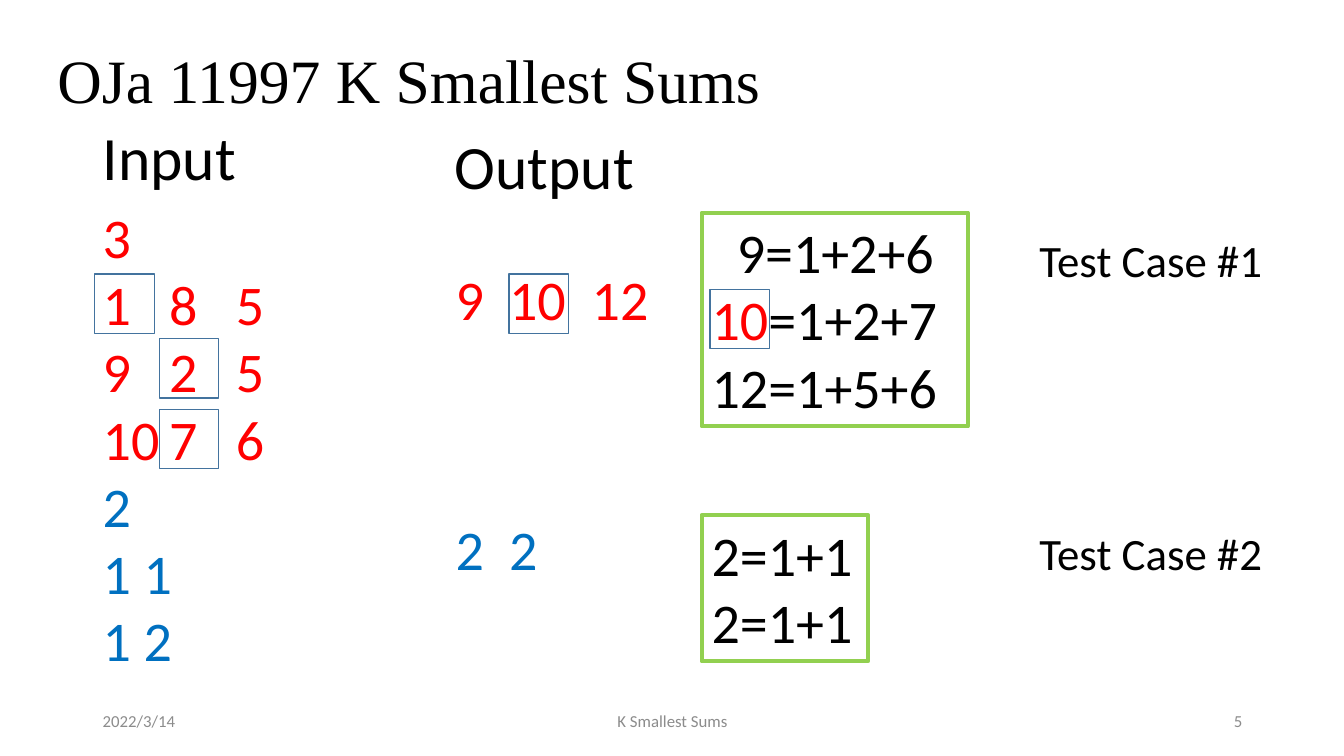
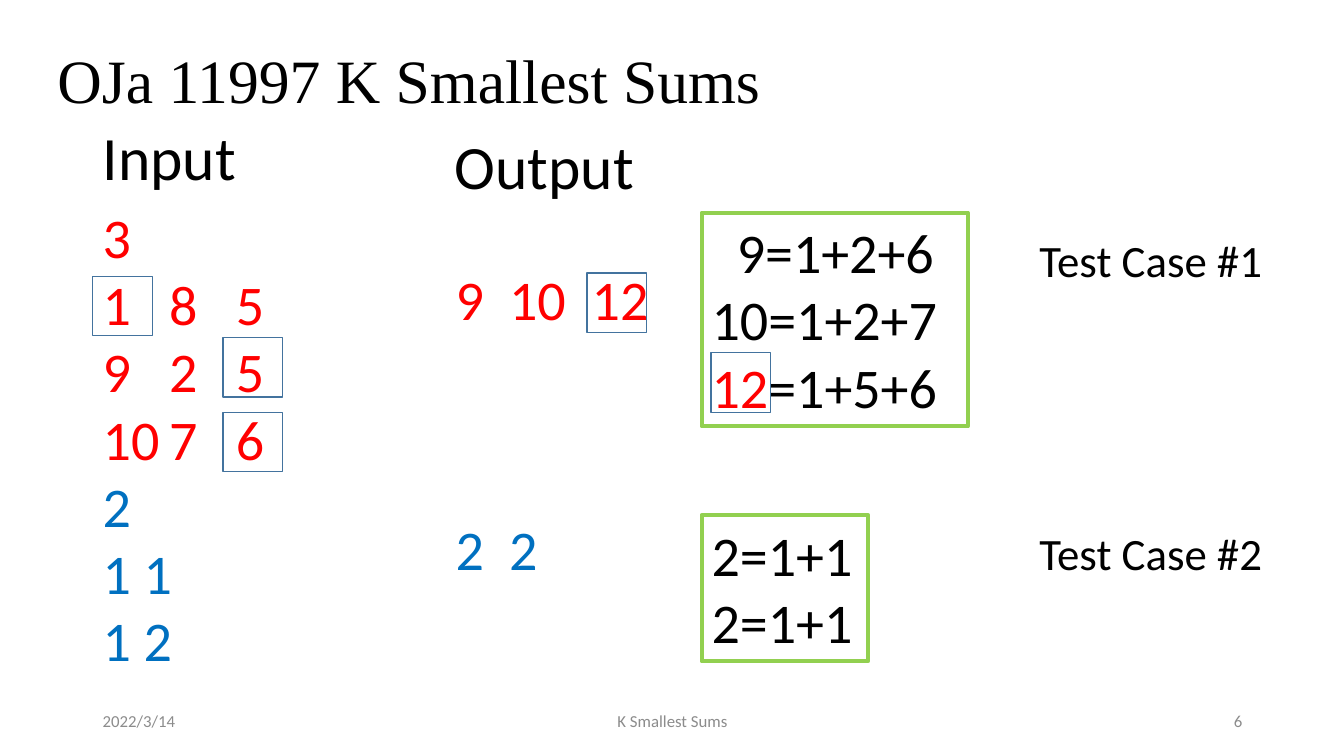
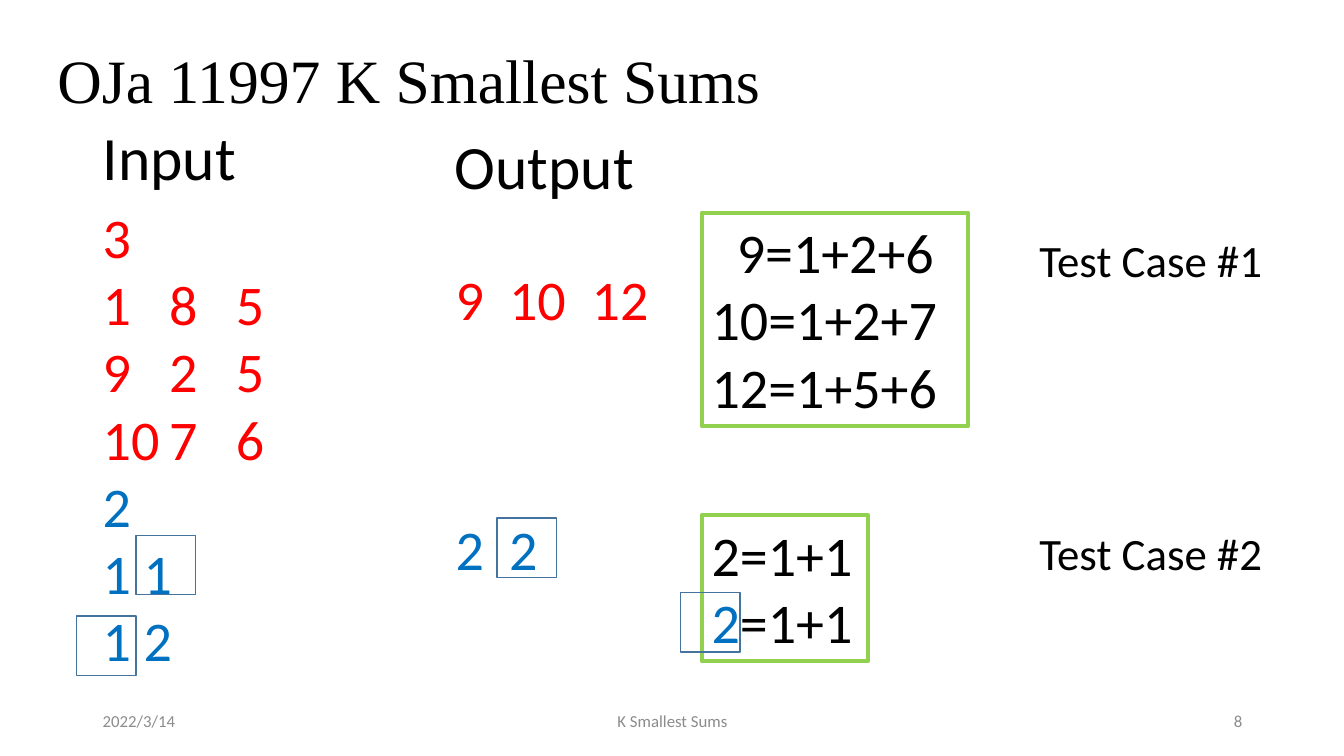
"""Builds three worked-example slides for the K Smallest Sums problem."""
from lxml.etree import SubElement
from pptx import Presentation
from pptx.dml.color import RGBColor
from pptx.enum.shapes import MSO_SHAPE
from pptx.enum.text import MSO_ANCHOR, MSO_AUTO_SIZE, PP_ALIGN
from pptx.oxml.ns import qn
from pptx.util import Inches, Pt

BLACK = RGBColor(0x00, 0x00, 0x00)
RED = RGBColor(0xFF, 0x00, 0x00)
BLUE = RGBColor(0x00, 0x70, 0xC0)
GREEN = RGBColor(0x92, 0xD0, 0x50)
STEEL = RGBColor(0x43, 0x73, 0x9E)
GREY = RGBColor(0x8C, 0x8C, 0x8C)
TITLE_FONT, BODY_FONT = "Times New Roman", "Calibri"
TITLE_ONLY = 5
MARK_SIZE = 0.59

INPUT_TABS = (0.66, 1.32)
OUTPUT_TABS = (0.53, 1.35)
INPUT_LINES = [
    ("3", RED), ("1\t8\t5", RED), ("9\t2\t5", RED), ("10\t7\t6", RED),
    ("2", BLUE), ("1 1", BLUE), ("1 2", BLUE),
]
SUMS_1 = [("9", "=1+2+6"), ("10", "=1+2+7"), ("12", "=1+5+6")]
SUMS_2 = [("2", "=1+1"), ("2", "=1+1")]

STEPS = [
    (5, 1, None, [(1.58, 4.06), (1.58, 3.36), (0.94, 2.72), (7.04, 2.87), (5.05, 2.72)]),
    (6, 2, None, [(5.82, 2.71), (0.92, 2.74), (2.21, 3.35), (2.21, 4.09), (7.05, 3.5)]),
    (8, None, 1, [(6.75, 5.88), (0.76, 6.11), (1.35, 5.31), (4.93, 5.14)]),
]


def style(p, size, color, font=BODY_FONT, align=PP_ALIGN.LEFT):
    """Format a whole paragraph."""
    p.alignment = align
    p.font.name, p.font.size = font, Pt(size)
    p.font.color.rgb = color


def set_tabs(p, stops):
    """Give a paragraph left tab stops, in inches."""
    tabs = SubElement(p._p.get_or_add_pPr(), qn("a:tabLst"))
    for stop in stops:
        SubElement(tabs, qn("a:tab"), pos=str(Inches(stop)), algn="l")


def add_title(slide, text):
    """Place and format the title placeholder."""
    sp = slide.shapes.title
    sp.left, sp.top, sp.width, sp.height = map(Inches, (0.47, 0.1, 11.5, 1.45))
    tf = sp.text_frame
    tf.vertical_anchor = MSO_ANCHOR.MIDDLE
    p = tf.paragraphs[0]
    p.text = text
    p.line_spacing = 0.9
    style(p, 44, BLACK, TITLE_FONT)


def add_text(slide, at, lines, size, tabs=(), align=PP_ALIGN.LEFT, anchor=MSO_ANCHOR.TOP):
    """Add a text box with one paragraph per (text, colour) line."""
    tf = slide.shapes.add_textbox(*map(Inches, at)).text_frame
    tf.word_wrap = True
    tf.vertical_anchor = anchor
    for i, (text, color) in enumerate(lines):
        p = tf.add_paragraph() if i else tf.paragraphs[0]
        p.text = text
        if "\t" in text:
            set_tabs(p, tabs)
        style(p, size, color, align=align)


def add_frame(slide, at, color, width):
    """Add an unfilled rectangle with a coloured outline."""
    sp = slide.shapes.add_shape(MSO_SHAPE.RECTANGLE, *map(Inches, at))
    sp.shadow.inherit = False
    sp.fill.background()
    sp.line.color.rgb, sp.line.width = color, Pt(width)
    return sp


def add_sums(slide, at, sums, marked, mark_color):
    """Add a green box of sums and colour the total of the marked row."""
    tf = add_frame(slide, at, GREEN, 3).text_frame
    tf.word_wrap = True
    tf.auto_size = MSO_AUTO_SIZE.SHAPE_TO_FIT_TEXT
    tf.vertical_anchor = MSO_ANCHOR.TOP
    widest = max(len(total) for total, _ in sums)
    for i, (total, terms) in enumerate(sums):
        p = tf.add_paragraph() if i else tf.paragraphs[0]
        indent = Inches(0.25 * (widest - len(total)))
        p._p.get_or_add_pPr().set("marL", str(indent))
        style(p, 40, BLACK)
        for text, color in ((total, mark_color if i == marked else BLACK), (terms, BLACK)):
            r = p.add_run()
            r.text = text
            r.font.color.rgb = color


def add_footer(slide, number):
    """Add the date, the topic and the slide number."""
    for left, width, text, align in (
        (0.92, 3, "2022/3/14", PP_ALIGN.LEFT),
        (4.42, 4.5, "K Smallest Sums", PP_ALIGN.CENTER),
        (9.42, 3, str(number), PP_ALIGN.RIGHT),
    ):
        add_text(slide, (left, 6.95, width, 0.4), [(text, GREY)], 12,
                 align=align, anchor=MSO_ANCHOR.MIDDLE)


def add_step(prs, number, marked_1, marked_2, marks):
    """Add one slide with the two test cases and its marks."""
    slide = prs.slides.add_slide(prs.slide_layouts[TITLE_ONLY])
    add_title(slide, "OJa 11997 K Smallest Sums")
    add_footer(slide, number)
    add_text(slide, (0.92, 1.96, 2.05, 4.81), INPUT_LINES, 40, INPUT_TABS)
    add_text(slide, (4.42, 2.58, 3.21, 0.77), [("9\t10\t12", RED)], 40, OUTPUT_TABS)
    add_text(slide, (4.42, 5.06, 1.42, 0.77), [("2\t2", BLUE)], 40, OUTPUT_TABS)
    add_sums(slide, (6.96, 2.11, 2.64, 2.12), SUMS_1, marked_1, RED)
    add_sums(slide, (6.96, 5.11, 1.65, 1.45), SUMS_2, marked_2, BLUE)
    add_text(slide, (0.92, 1.13, 1.62, 0.84), [("Input", BLACK)], 44)
    add_text(slide, (4.41, 1.22, 2.18, 0.84), [("Output", BLACK)], 44)
    for left, top in marks:
        add_frame(slide, (left, top, MARK_SIZE, MARK_SIZE), STEEL, 1)
    for case, top in ((1, 2.26), (2, 5.17)):
        add_text(slide, (10.21, top, 2.81, 0.64), [(f"Test Case #{case}", BLACK)], 32)


def main():
    """Build and save the slides."""
    prs = Presentation()
    prs.slide_width, prs.slide_height = Inches(13.33), Inches(7.5)
    for step in STEPS:
        add_step(prs, *step)
    prs.save("out.pptx")


if __name__ == "__main__":
    main()
